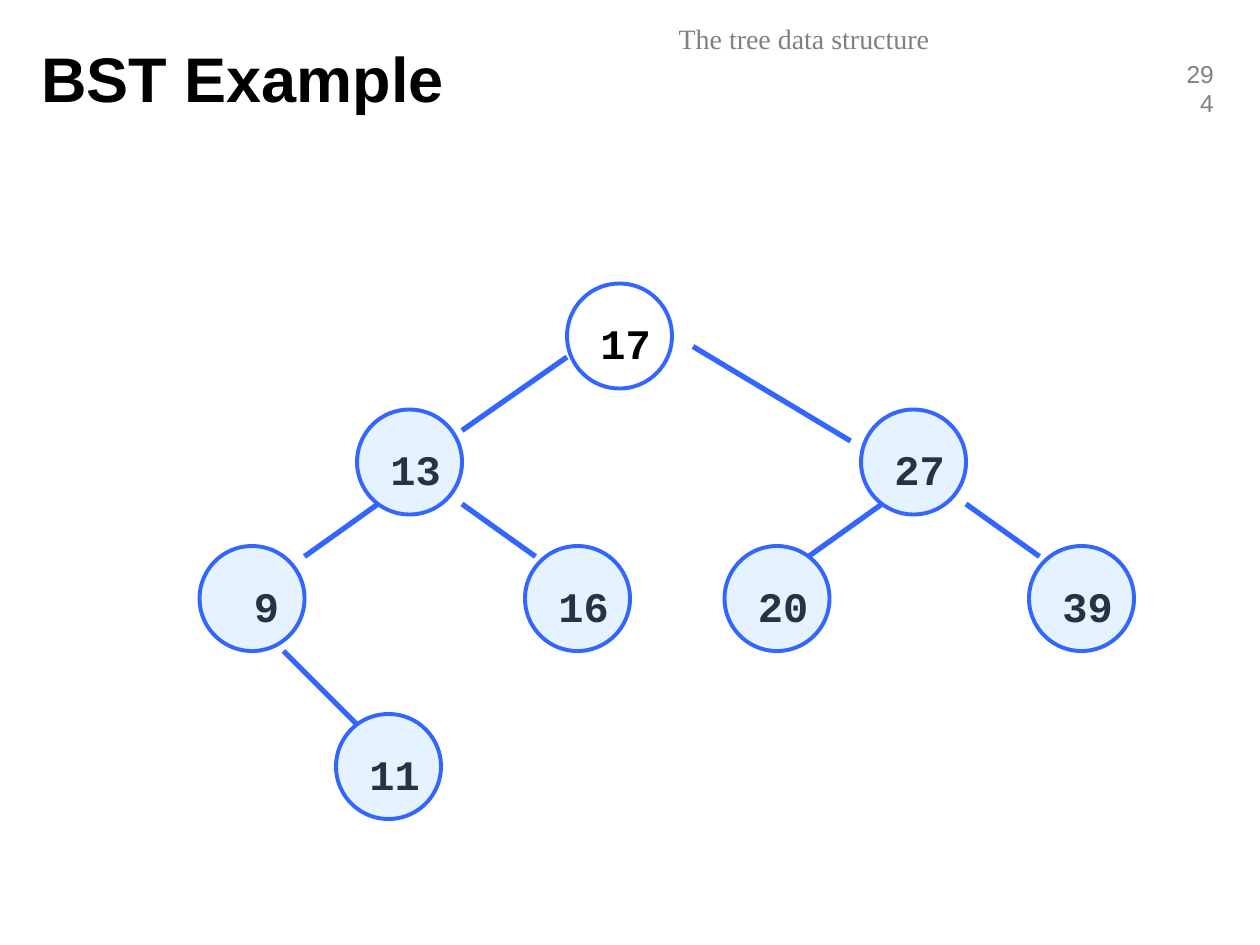
from lxml.etree import SubElement
from pptx import Presentation
from pptx.dml.color import RGBColor
from pptx.enum.shapes import MSO_CONNECTOR as Connector, MSO_SHAPE as Shape
from pptx.enum.text import MSO_ANCHOR as Anchor, PP_ALIGN as Align
from pptx.oxml.ns import qn
from pptx.util import Pt

BLUE, PALE, GREY, BLACK = "3366FF", "99CCFF", "808080", "000000"
DIAMETER = 60
LABEL_SHIFT = 12

# Key: left and top of its circle
ROOT = 17
NODES = {
    17: (324, 162),
    13: (204, 234),
    27: (492, 234),
    9: (114, 312),
    16: (300, 312),
    20: (414, 312),
    39: (588, 312),
    11: (192, 408),
}
WIDE_SHIFTS = {9: 24}

# Start and end of each branch, from parent to child
BRANCHES = [
    ((324, 204), (264, 246)),
    ((396, 198), (486, 252)),
    ((216, 288), (174, 318)),
    ((264, 288), (306, 318)),
    ((504, 288), (462, 318)),
    ((552, 288), (594, 318)),
    ((162, 372), (204, 414)),
]


def rgb(value):
    return RGBColor.from_string(value)


def add_text(page, text, area, font, size, color,
             bold=False, align=Align.LEFT, anchor=Anchor.TOP):
    box = page.shapes.add_textbox(*map(Pt, area))
    frame = box.text_frame
    frame.word_wrap = True
    frame.vertical_anchor = anchor
    para = frame.paragraphs[0]
    para.alignment = align
    span = para.add_run()
    span.text = text
    span.font.name = font
    span.font.size = Pt(size)
    span.font.bold = bold
    span.font.color.rgb = rgb(color)
    return frame


def add_label(page, key, left, top):
    shift = WIDE_SHIFTS.get(key, LABEL_SHIFT)
    area = (left + shift, top + LABEL_SHIFT, 54, 36)
    frame = add_text(page, str(key), area, "Courier New", 24, BLACK, bold=True)
    frame.margin_top, frame.margin_bottom = Pt(7.5), 0


def add_circle(page, key, left, top):
    circle = page.shapes.add_shape(
        Shape.OVAL, *map(Pt, (left, top, DIAMETER, DIAMETER)))
    circle.shadow.inherit = False
    circle.line.color.rgb = rgb(BLUE)
    circle.line.width = Pt(2.25)
    if key == ROOT:
        circle.fill.background()
        return
    circle.fill.solid()
    circle.fill.fore_color.rgb = rgb(PALE)
    tint = circle.fill._xPr.find(qn("a:solidFill"))[0]
    SubElement(tint, qn("a:alpha"), val="25000")


def add_branch(page, start, end):
    branch = page.shapes.add_connector(
        Connector.STRAIGHT, *map(Pt, start + end))
    branch.line.color.rgb = rgb(BLUE)
    branch.line.width = Pt(3)
    SubElement(branch._element.spPr, qn("a:effectLst"))


def main():
    deck = Presentation()
    deck.slide_width, deck.slide_height = Pt(720), Pt(540)
    page = deck.slides.add_slide(deck.slide_layouts[6])

    add_text(page, "294", (669, 30.2, 31.7, 24), "Arial", 14, GREY,
             align=Align.RIGHT)
    add_text(page, "The tree data structure", (229.7, 8.6, 459.4, 28.8),
             "Times New Roman", 16, GREY, align=Align.CENTER)
    add_text(page, "BST Example", (16.6, 10.8, 578.2, 67), "Arial", 36, BLACK,
             bold=True, anchor=Anchor.MIDDLE)

    # The tinted circles lie over the labels
    for key, (left, top) in NODES.items():
        add_label(page, key, left, top)
    for key, (left, top) in NODES.items():
        add_circle(page, key, left, top)
    for start, end in BRANCHES:
        add_branch(page, start, end)

    deck.save("out.pptx")


if __name__ == "__main__":
    main()
